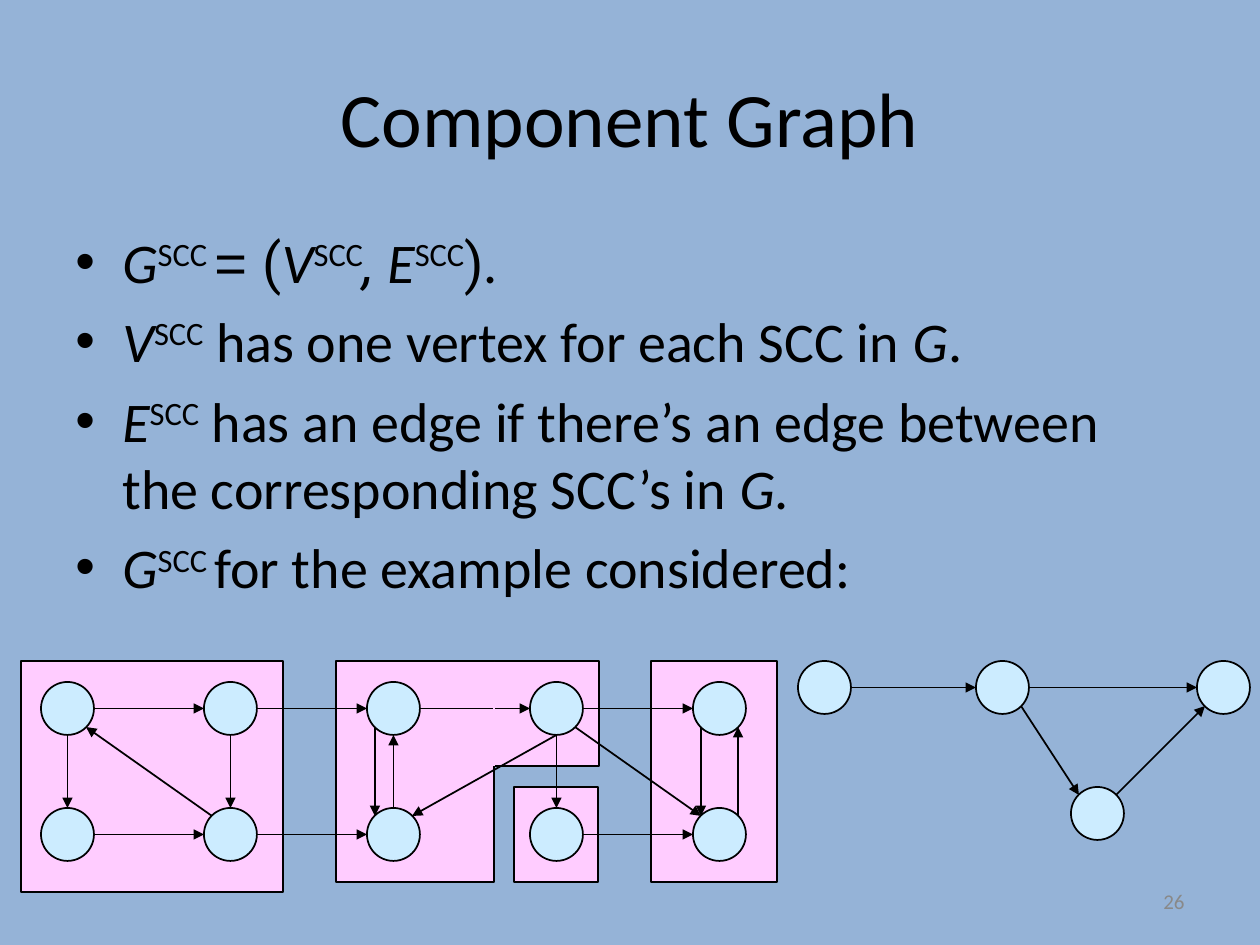
"""Build the Component Graph slide with its two directed graphs."""
from lxml.etree import SubElement
from pptx import Presentation
from pptx.dml.color import RGBColor
from pptx.enum.shapes import MSO_CONNECTOR, MSO_SHAPE
from pptx.enum.text import MSO_ANCHOR, PP_ALIGN
from pptx.oxml.ns import qn
from pptx.util import Pt

SCALE = 914400 / 126
DIAMETER = 53


def px(*lengths):
    return [round(length * SCALE) for length in lengths]


def color(hex_string):
    return RGBColor.from_string(hex_string)


presentation = Presentation()
presentation.slide_width, presentation.slide_height = px(1260, 945)
slide = presentation.slides.add_slide(presentation.slide_layouts[5])
slide.background.fill.solid()
slide.background.fill.fore_color.rgb = color("95B3D7")

title = slide.shapes.title
title.left, title.top, title.width, title.height = px(63, 38, 1134, 157)
title.text_frame.text = "Component Graph"
title.text_frame.vertical_anchor = MSO_ANCHOR.MIDDLE
title_paragraph = title.text_frame.paragraphs[0]
title_paragraph.alignment = PP_ALIGN.CENTER
for name, value in {"name": "Calibri", "size": Pt(44)}.items():
    setattr(title_paragraph.font, name, value)
title_paragraph.font.color.rgb = color("000000")

styles = {
    "plain": {"name": "Calibri"},
    "variable": {"name": "Calibri", "italic": True},
    "super": {"name": "Calibri"},
    "equals": {"name": "Arial"},
    "bracket": {"name": "Roboto"},
    "comma": {"name": "Roboto", "italic": True},
}
bullets = [
    [("G", "variable"), ("SCC ", "super"), ("= ", "equals"), ("(", "bracket"),
     ("V", "variable"), ("SCC", "super"), (", ", "comma"), ("E", "variable"),
     ("SCC", "super"), (")", "bracket"), (".", "plain")],
    [("V", "variable"), ("SCC", "super"), (" has one vertex for each SCC in ", "plain"),
     ("G", "variable"), (".", "plain")],
    [("E", "variable"), ("SCC", "super"),
     (" has an edge if there’s an edge between the corresponding SCC’s in ", "plain"),
     ("G", "variable"), (".", "plain")],
    [("G", "variable"), ("SCC ", "super"), ("for the example considered:", "plain")],
]
body = slide.shapes.add_textbox(*px(63, 221, 1134, 400)).text_frame
body.word_wrap = True
indent = px(47)[0]
for index, runs in enumerate(bullets):
    paragraph = body.add_paragraph() if index else body.paragraphs[0]
    properties = paragraph._p.get_or_add_pPr()
    properties.set("marL", str(indent))
    properties.set("indent", str(-indent))
    SubElement(properties, qn("a:buFont"), typeface="Arial")
    SubElement(properties, qn("a:buChar"), char="•")
    paragraph.space_before = Pt(7 if index else 0)
    for text, style in runs:
        run = paragraph.add_run()
        run.text = text
        for name, value in {"size": Pt(32), **styles[style]}.items():
            setattr(run.font, name, value)
        run.font.color.rgb = color("000000")
        if style == "super":
            run._r.get_or_add_rPr().set("baseline", "30000")

number = slide.shapes.add_textbox(*px(903, 876, 294, 50)).text_frame
number.word_wrap = True
number.vertical_anchor = MSO_ANCHOR.MIDDLE
number.text = "26"
number_paragraph = number.paragraphs[0]
number_paragraph.alignment = PP_ALIGN.RIGHT
for name, value in {"name": "Calibri", "size": Pt(12)}.items():
    setattr(number_paragraph.font, name, value)
number_paragraph.font.color.rgb = color("898989")

component_vertices = {"k": (798, 661), "l": (976, 661), "m": (1197, 661), "n": (1071, 787)}
component_edges = ["k E l W", "l E m W", "l SE n NW", "n NE m SW"]

example_vertices = {
    letter: (41 + 163 * column, top)
    for letters, top in (("abcde", 682), ("fghij", 808))
    for column, letter in enumerate(letters)
}
example_edges = [
    "a E b W", "a S f N", "b S g N", "f E g W", "g NW a SE",
    "c E d W", "d S h NE", "h N c S", "c SW h NW", "d S i N",
    "e SW j NW", "j NE e SE", "d E e W", "d SE j NW", "i E j W",
    "b E c W", "g E h W",
]
component_boxes = [
    (514, 787, 84, 95), (651, 661, 126, 221), (494, 661, 105, 105),
    (336, 661, 158, 221), (21, 661, 262, 231),
]
sides = {
    "N": (0.5, 0), "S": (0.5, 1), "W": (0, 0.5), "E": (1, 0.5),
    "NW": (0.15, 0.15), "NE": (0.85, 0.15), "SW": (0.15, 0.85), "SE": (0.85, 0.85),
}
seam = (494, 662, 494, 766)
graphs = [
    (component_vertices, component_edges, [], []),
    (example_vertices, example_edges, component_boxes, [seam]),
]

for vertices, edges, boxes, seams in graphs:
    group = slide.shapes.add_group_shape()
    outlines = [(MSO_SHAPE.RECTANGLE, box, "FFCCFF") for box in boxes]
    outlines += [(MSO_SHAPE.OVAL, (*corner, DIAMETER, DIAMETER), "CCECFF")
                 for corner in vertices.values()]
    for kind, box, fill in outlines:
        shape = group.shapes.add_shape(kind, *px(*box))
        shape.shadow.inherit = False
        shape.fill.solid()
        shape.fill.fore_color.rgb = color(fill)
        shape.line.color.rgb = color("000000")
        shape.line.width = Pt(1)

    lines = []
    for edge in edges:
        start, start_side, end, end_side = edge.split()
        points = [
            corner + DIAMETER * offset
            for vertex, side in ((start, start_side), (end, end_side))
            for corner, offset in zip(vertices[vertex], sides[side])
        ]
        lines.append((points, "000000", True))
    lines += [(points, "FFCCFF", False) for points in seams]
    for points, line_color, has_arrow in lines:
        connector = group.shapes.add_connector(MSO_CONNECTOR.STRAIGHT, *px(*points))
        connector.line.color.rgb = color(line_color)
        connector.line.width = Pt(1)
        if has_arrow:
            SubElement(connector.line._get_or_add_ln(), qn("a:tailEnd"), type="triangle")
        SubElement(connector._element.spPr, qn("a:effectLst"))

presentation.save("out.pptx")
